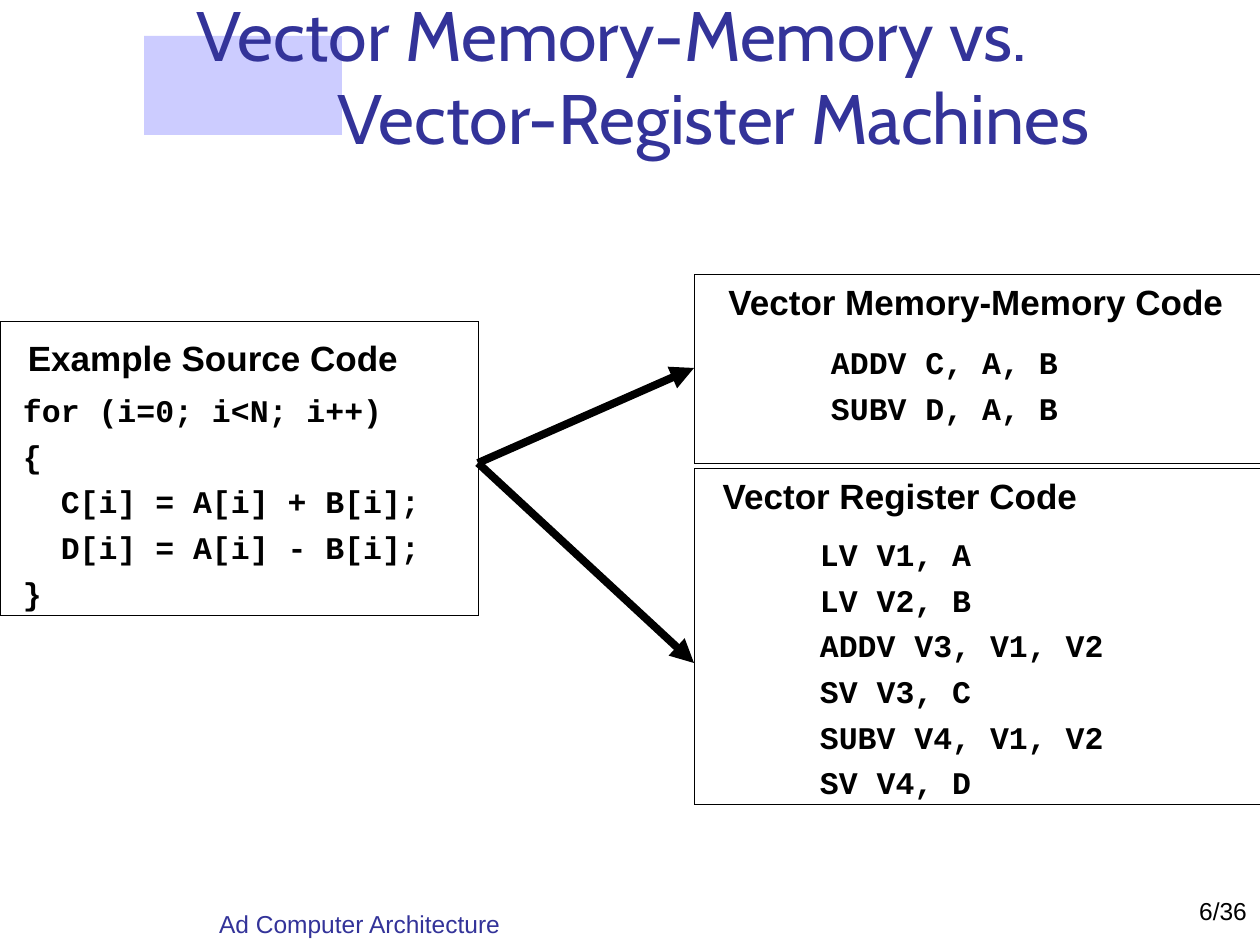
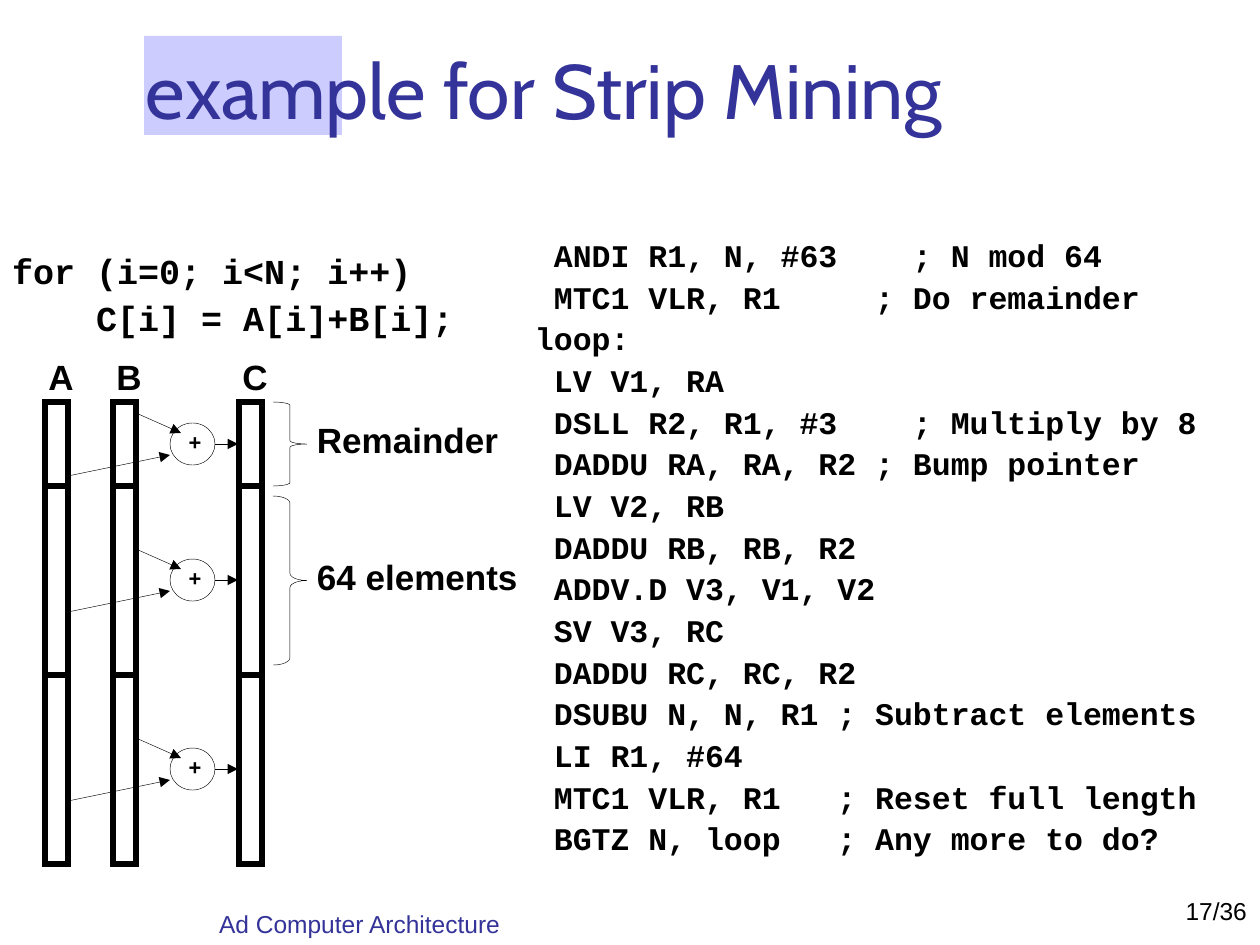
from dataclasses import dataclass

from lxml.etree import SubElement
from pptx import Presentation
from pptx.dml.color import RGBColor
from pptx.enum.shapes import MSO_CONNECTOR, MSO_SHAPE
from pptx.enum.text import MSO_ANCHOR, PP_ALIGN
from pptx.oxml.ns import qn
from pptx.util import Pt

FOOTER = "Ad Computer Architecture"
ACCENT_BAND = (144, 36, 198, 99)
FOOTER_BOX = (219, 906, 470, 36)
PAGE_BOX = (998, 893, 249, 36)

COMPARISON = {
    "page": "6/36",
    "title": [("Vector Memory-Memory vs.", 0), ("Vector-Register Machines", 141)],
    "title_box": (197, 0, 1060, 159),
    "title_size": 40,
    "panels": [
        {
            "frame": (0, 321, 478, 294),
            "heading": ("Example Source Code", (15, 330, 396, 56)),
            "code_at": (23, 391),
            "code": [
                "for (i=0; i<N; i++)",
                "{",
                "  C[i] = A[i] + B[i];",
                "  D[i] = A[i] - B[i];",
                "}",
            ],
        },
        {
            "frame": (694, 274, 580, 189),
            "heading": ("Vector Memory-Memory Code", (715, 274, 522, 56)),
            "code_at": (831, 343),
            "code": ["ADDV C, A, B", "SUBV D, A, B"],
        },
        {
            "frame": (694, 468, 580, 336),
            "heading": ("Vector Register Code", (709, 467, 382, 56)),
            "code_at": (820, 535),
            "code": [
                "LV V1, A",
                "LV V2, B",
                "ADDV V3, V1, V2",
                "SV V3, C",
                "SUBV V4, V1, V2",
                "SV V4, D",
            ],
        },
    ],
    "fork": (478, 463),
    "arrow_ends": [(694, 368), (694, 663)],
}

STRIP_MINING = {
    "page": "17/36",
    "title": [("example for Strip Mining", 0)],
    "title_box": (146, 26, 1101, 109),
    "title_size": 44,
    "loop_at": (12, 250),
    "loop": ["for (i=0; i<N; i++)", "    C[i] = A[i]+B[i];"],
    "assembly_at": (535, 236),
    "assembly": [
        (" ANDI R1, N, #63", "; N mod 64", 20),
        (" MTC1 VLR, R1", "; Do remainder", 18),
        "loop:",
        " LV V1, RA",
        (" DSLL R2, R1, #3", "; Multiply by 8", 20),
        (" DADDU RA, RA, R2", "; Bump pointer", 18),
        " LV V2, RB",
        " DADDU RB, RB, R2",
        " ADDV.D V3, V1, V2",
        " SV V3, RC",
        " DADDU RC, RC, R2",
        (" DSUBU N, N, R1", "; Subtract elements", 16),
        " LI R1, #64",
        (" MTC1 VLR, R1", "; Reset full length", 16),
        (" BGTZ N, loop", "; Any more to do?", 16),
    ],
    "vectors": {"A": 45, "B": 113, "C": 239},
    "vector_width": 23,
    "segments_top": 402,
    "segments": [(84, "Remainder", 0), (189, "64 elements", 10), (189, None, 0)],
}


@dataclass(frozen=True)
class Theme:
    ink: RGBColor = RGBColor(0, 0, 0)
    title: RGBColor = RGBColor(0x33, 0x33, 0x99)
    band: RGBColor = RGBColor(0xCC, 0xCC, 0xFF)
    title_font: str = "Cabin"
    body_font: str = "Arial"
    code_font: str = "Courier New"
    heading_size: float = 20
    loop_size: float = 20
    code_size: float = 18
    footer_size: float = 14
    adder_size: float = 12.5
    code_line: float = 1.2
    code_advance: float = 18.9
    thin: float = 0.25
    strip: float = 3
    arrow: float = 4.5


THEME = Theme()


def px(value):
    return round(value * 914400 / 126)


def add_run(paragraph, text, font, size, color=THEME.ink, bold=False):
    run = paragraph.add_run()
    run.text = text
    run.font.name = font
    run.font.size = Pt(size)
    run.font.bold = bold
    run.font.color.rgb = color


def prepare_frame(shape, anchor):
    frame = shape.text_frame
    frame.word_wrap = True
    frame.vertical_anchor = anchor
    frame.margin_left = frame.margin_right = frame.margin_top = frame.margin_bottom = 0
    return frame


def add_frame(slide, box, anchor=MSO_ANCHOR.MIDDLE):
    return prepare_frame(slide.shapes.add_textbox(*map(px, box)), anchor)


def next_paragraph(frame, index):
    return frame.add_paragraph() if index else frame.paragraphs[0]


def add_label(slide, text, box, size=THEME.heading_size, color=THEME.ink,
              bold=True, align=PP_ALIGN.CENTER):
    paragraph = add_frame(slide, box).paragraphs[0]
    paragraph.alignment = align
    add_run(paragraph, text, THEME.body_font, size, color, bold)


def add_code(slide, at, rows, width, size=THEME.code_size, gap=4.5):
    frame = add_frame(slide, (*at, width, 45 * len(rows)), MSO_ANCHOR.TOP)
    for index, row in enumerate(rows):
        paragraph = next_paragraph(frame, index)
        paragraph.line_spacing = Pt(size * THEME.code_line)
        paragraph.space_before = Pt(gap if index else 0)
        if isinstance(row, str):
            add_run(paragraph, row, THEME.code_font, size, bold=True)
            continue
        instruction, comment, column = row
        tabs = SubElement(paragraph._p.get_or_add_pPr(), qn("a:tabLst"))
        stop = str(px(column * THEME.code_advance))
        SubElement(tabs, qn("a:tab"), pos=stop, algn="l")
        for text in (instruction, "\t" + comment):
            add_run(paragraph, text, THEME.code_font, size, bold=True)


def add_outline(slide, kind, box, width=THEME.thin):
    shape = slide.shapes.add_shape(kind, *map(px, box))
    shape.shadow.inherit = False
    shape.fill.background()
    shape.line.color.rgb = THEME.ink
    shape.line.width = Pt(width)
    SubElement(shape.line._get_or_add_ln(), qn("a:miter"), lim="800000")
    return shape


def add_arrow(slide, start, end, width=THEME.thin):
    arrow = slide.shapes.add_connector(MSO_CONNECTOR.STRAIGHT, *map(px, (*start, *end)))
    arrow.line.color.rgb = THEME.ink
    arrow.line.width = Pt(width)
    SubElement(arrow.line._get_or_add_ln(), qn("a:tailEnd"), type="triangle")
    SubElement(arrow._element.spPr, qn("a:effectLst"))


def start_slide(presentation, content):
    slide = presentation.slides.add_slide(presentation.slide_layouts[6])
    band = slide.shapes.add_shape(MSO_SHAPE.RECTANGLE, *map(px, ACCENT_BAND))
    band.shadow.inherit = False
    band.fill.solid()
    band.fill.fore_color.rgb = THEME.band
    band.line.fill.background()
    add_label(slide, content["page"], PAGE_BOX, THEME.footer_size, bold=False,
              align=PP_ALIGN.RIGHT)
    add_label(slide, FOOTER, FOOTER_BOX, THEME.footer_size, THEME.title, False,
              PP_ALIGN.LEFT)
    frame = add_frame(slide, content["title_box"], MSO_ANCHOR.BOTTOM)
    for index, (text, indent) in enumerate(content["title"]):
        paragraph = next_paragraph(frame, index)
        paragraph._p.get_or_add_pPr().set("marL", str(px(indent)))
        add_run(paragraph, text, THEME.title_font, content["title_size"], THEME.title)
    return slide


def build_comparison(presentation):
    slide = start_slide(presentation, COMPARISON)
    for panel in COMPARISON["panels"]:
        add_outline(slide, MSO_SHAPE.RECTANGLE, panel["frame"])
        add_label(slide, *panel["heading"])
        add_code(slide, panel["code_at"], panel["code"], 430)
    for end in COMPARISON["arrow_ends"]:
        add_arrow(slide, COMPARISON["fork"], end, THEME.arrow)


def add_adder(slide, middle):
    adder = add_outline(slide, MSO_SHAPE.OVAL, (170, middle - 21, 45, 42))
    frame = prepare_frame(adder, MSO_ANCHOR.MIDDLE)
    frame.margin_left = px(5)
    frame.margin_bottom = px(4)
    paragraph = frame.paragraphs[0]
    paragraph.alignment = PP_ALIGN.CENTER
    add_run(paragraph, "+", THEME.body_font, THEME.adder_size, bold=True)
    add_arrow(slide, (136, middle - 31), (181, middle - 11))
    add_arrow(slide, (68, middle + 32), (170, middle + 11))
    add_arrow(slide, (215, middle), (238, middle))


def add_brace(slide, label, top, height, middle):
    width = 34
    brace = add_outline(slide, MSO_SHAPE.RIGHT_BRACE, (273, top, width, height))
    brace.adjustments[0] = round(height / 24 / width, 2)
    brace.adjustments[1] = 0.5
    add_label(slide, label, (317, middle - 32, 215, 56), align=PP_ALIGN.LEFT)


def build_strip_mining(presentation):
    content = STRIP_MINING
    slide = start_slide(presentation, content)
    add_code(slide, content["assembly_at"], content["assembly"], 720, gap=2.2)
    add_code(slide, content["loop_at"], content["loop"], 470, THEME.loop_size, 2.5)
    width = content["vector_width"]
    for name, left in content["vectors"].items():
        add_label(slide, name, (left - 9, 348, 50, 56))
    top = content["segments_top"]
    for height, label, inset in content["segments"]:
        middle = top + height // 2
        for left in content["vectors"].values():
            add_outline(slide, MSO_SHAPE.RECTANGLE, (left, top, width, height), THEME.strip)
        add_adder(slide, middle)
        if label:
            add_brace(slide, label, top + inset, height - 2 * inset, middle)
        top += height


def main():
    presentation = Presentation()
    presentation.slide_width = px(1260)
    presentation.slide_height = px(945)
    build_comparison(presentation)
    build_strip_mining(presentation)
    presentation.save("out.pptx")


if __name__ == "__main__":
    main()
